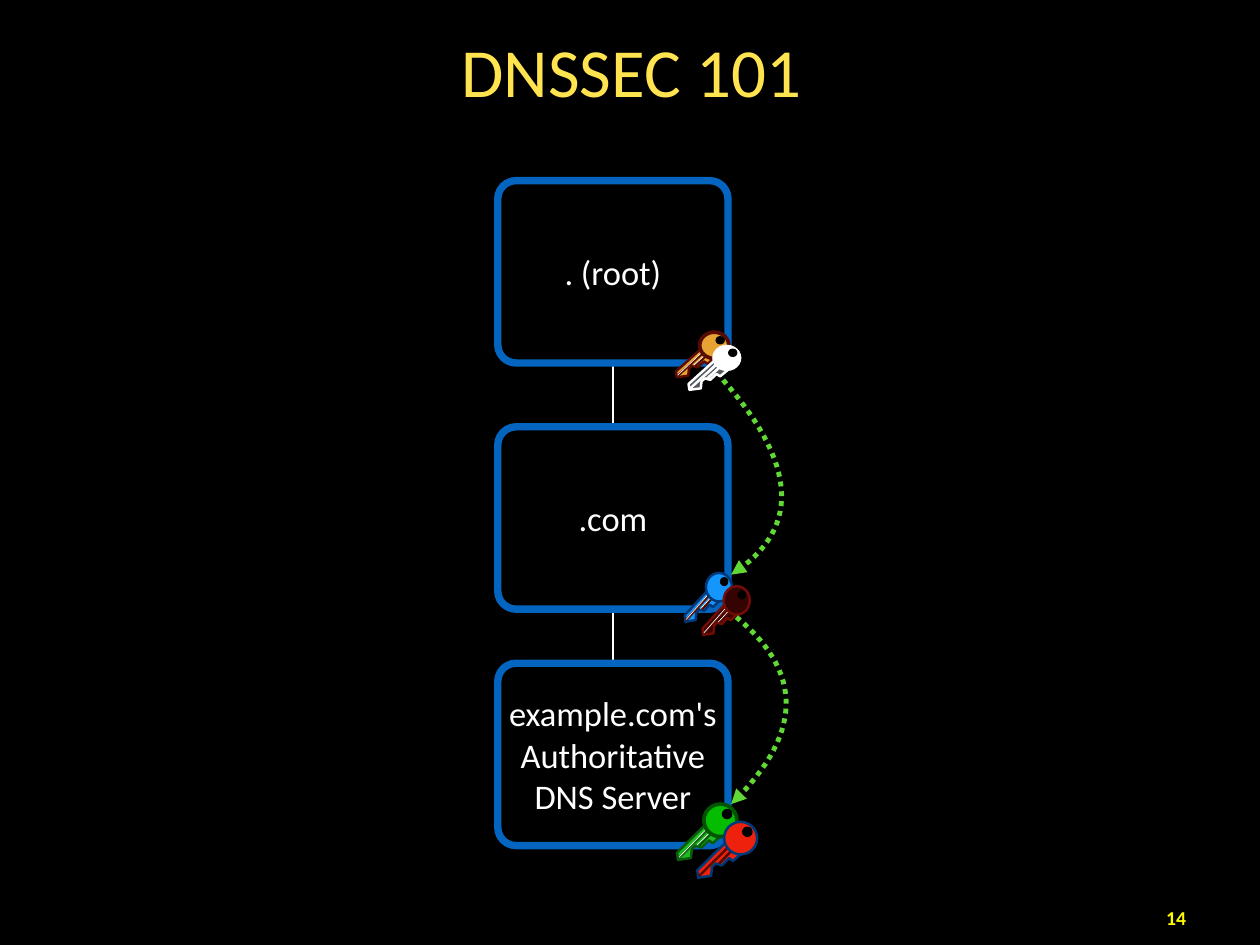
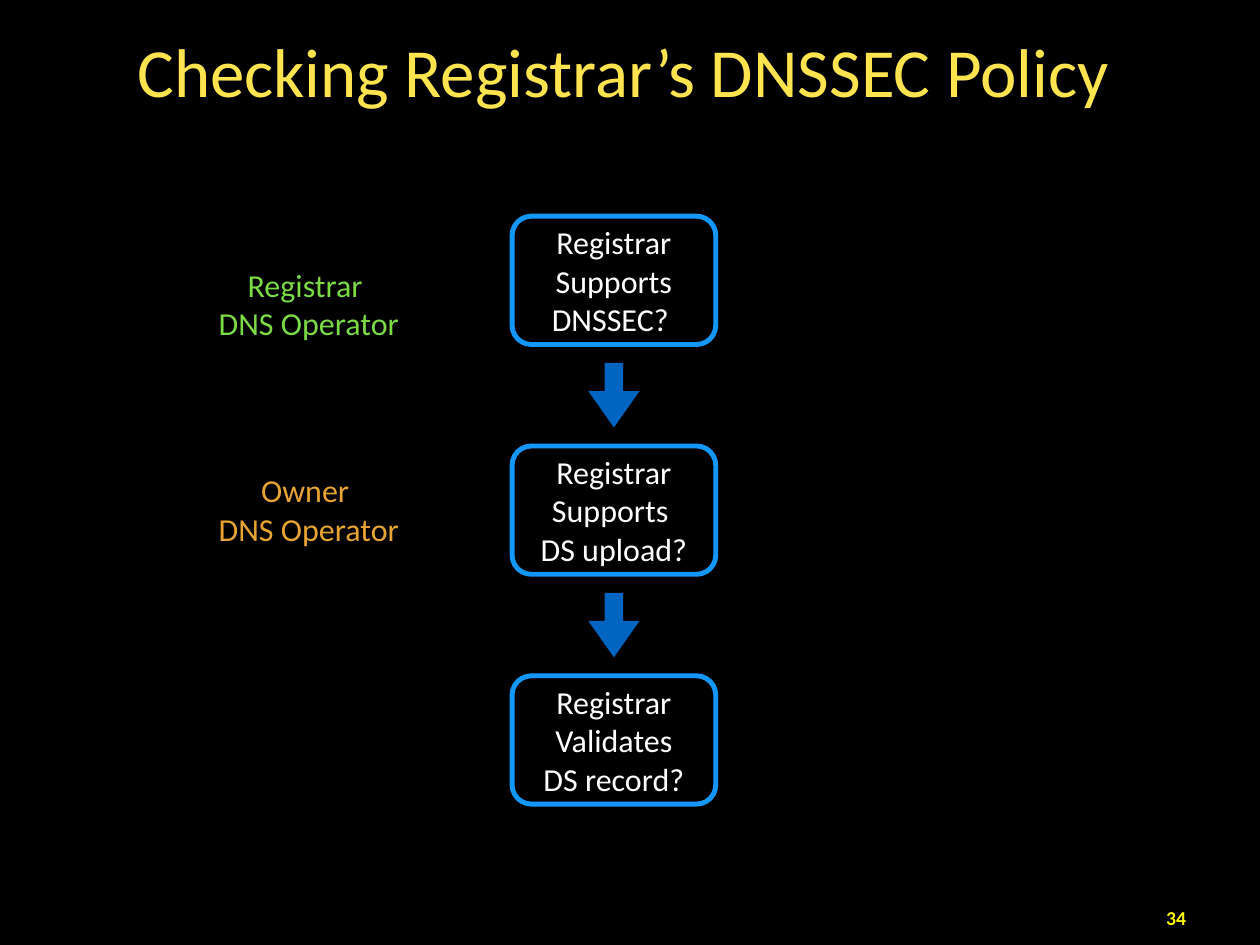
from pptx import Presentation
from pptx.dml.color import RGBColor
from pptx.enum.dml import MSO_LINE
from pptx.enum.shapes import MSO_CONNECTOR, MSO_SHAPE
from pptx.enum.text import MSO_ANCHOR, PP_ALIGN
from pptx.oxml.ns import qn
from pptx.util import Cm, Pt
from lxml import etree

STRAIGHT = MSO_CONNECTOR.STRAIGHT
ROUNDED, OVAL, DOWN = MSO_SHAPE.ROUNDED_RECTANGLE, MSO_SHAPE.OVAL, MSO_SHAPE.DOWN_ARROW
MIDDLE, TOP = MSO_ANCHOR.MIDDLE, MSO_ANCHOR.TOP
DOTTED = MSO_LINE.ROUND_DOT

FONT = "Calibri"
BLACK, WHITE, YELLOW, PAGE_YELLOW = "000000", "FFFFFF", "FFE44F", "FFFB00"
BLUE, SKY, ARROW_BLUE = "0365C0", "1497FC", "0065C1"
GREEN, LIME, ORANGE = "61D836", "7BDB45", "E8A433"


def style(sp, fill=None, line=None, width=1):
    """Set fill and line, where None means none, and drop the shadow."""
    if line:
        sp.line.color.rgb = RGBColor.from_string(line)
        sp.line.width = Pt(width)
    else:
        sp.line.fill.background()
    if not hasattr(sp, "fill"):  # connector
        etree.SubElement(sp._element.spPr, qn("a:effectLst"))
        return
    if fill:
        sp.fill.solid()
        sp.fill.fore_color.rgb = RGBColor.from_string(fill)
    else:
        sp.fill.background()
    sp.shadow.inherit = False


def write(sp, *lines, size=28, color=WHITE, bold=False, anchor=MIDDLE, wrap=True, inset=0.15):
    tf = sp.text_frame
    tf.word_wrap = wrap
    tf.vertical_anchor = anchor
    tf.margin_left = tf.margin_right = tf.margin_top = tf.margin_bottom = Cm(inset)
    for i, line in enumerate(lines):
        p = tf.add_paragraph() if i else tf.paragraphs[0]
        p.alignment = PP_ALIGN.CENTER
        r = p.add_run()
        r.text = line
        r.font.name = FONT
        r.font.size = Pt(size)
        r.font.bold = bold
        r.font.color.rgb = RGBColor.from_string(color)


prs = Presentation()
prs.slide_width, prs.slide_height = Cm(36.12), Cm(27.1)
background = prs.slide_master.background.fill
background.solid()
background.fore_color.rgb = RGBColor.from_string(BLACK)

slides = []
for title, number in (("DNSSEC 101", "14"), ("Checking Registrar’s DNSSEC Policy ", "34")):
    s = prs.slides.add_slide(prs.slide_layouts[6])
    sp = s.shapes.add_textbox(Cm(2.24), Cm(-0.71), Cm(31.72), Cm(5.44))
    write(sp, title, size=56, color=YELLOW, inset=0)
    sp = s.shapes.add_textbox(Cm(33.22), Cm(25.83), Cm(0.99), Cm(0.97))
    write(sp, number, size=16, color=PAGE_YELLOW, bold=True, anchor=TOP, wrap=False)
    slides.append(s)
chain, policy = slides

# Chain of zones
zone_left, zone_width, zone_height = 14.27, 6.6, 5.23
zones = [
    (5.18, [". (root)"]),
    (12.24, [".com"]),
    (19.02, ["example.com's", "Authoritative", "DNS Server"]),
]
middle = Cm(zone_left + zone_width / 2)
for (upper, _), (lower, _) in zip(zones, zones[1:]):
    sp = chain.shapes.add_connector(STRAIGHT, middle, Cm(upper + zone_height), middle, Cm(lower))
    style(sp, line=WHITE, width=2)
for top, lines in zones:
    sp = chain.shapes.add_shape(ROUNDED, Cm(zone_left), Cm(top), Cm(zone_width), Cm(zone_height))
    sp.adjustments[0] = 0.1
    style(sp, BLACK, BLUE, 6)
    write(sp, *lines)

# Keys, in fractions of the blade's width and height
BLADE = [(0.66, 0), (0, 0.8), (0.02, 1), (0.31, 0.95), (0.33, 0.71),
         (0.41, 0.61), (0.55, 0.66), (0.71, 0.46), (0.8, 0.54), (1, 0.32)]
GROOVES = [(0.04, 0.95, 0.7, 0.15), (0.49, 0.61, 0.78, 0.24)]
SHINES = [(0.04, 0.93, 0.68, 0.12), (0.45, 0.59, 0.74, 0.24)]
HEAD, HOLE = (0.6, -0.54, 0.74, 0.9), (1, -0.41, 0.24, 0.29)

SMALL, MEDIUM, LARGE = (1.13, 0.84), (1.01, 0.91), (1.28, 1.04)
# left, top, size, blade, blade line, head, head line, head line width, grooves, shine
keys = [
    (19.41, 23.62, LARGE, "1EBB20", "0A5C0A", "06BC00", "015400", 3, ("126514", "075308"), True),
    (19.99, 24.13, LARGE, "EE220C", "00397A", "EE220C", "00397A", 2, ("5C0C01", "510901"), False),
    (19.63, 16.92, MEDIUM, SKY, "00397A", SKY, "00397A", 2, ("5C0C01", "510901"), True),
    (20.14, 17.3, MEDIUM, "340302", "720C04", "340302", "720C04", 2, ("5C0C01", "510901"), True),
    (19.38, 9.98, SMALL, ORANGE, "5C0C01", ORANGE, "580B01", 3, ("5C0C01", "510901"), True),
    (19.74, 10.34, SMALL, "53585F", WHITE, WHITE, None, 0, (WHITE, WHITE), True),
]
for left, top, (w, h), blade, edge, head, rim, rim_width, grooves, shine in keys:
    key = chain.shapes.add_group_shape().shapes
    outline = [(Cm(left + x * w), Cm(top + y * h)) for x, y in BLADE]
    builder = key.build_freeform(*outline[0])
    builder.add_line_segments(outline[1:], close=False)
    style(builder.convert_to_shape(), blade, edge, 2)

    strokes = [(ends, color, 2) for ends, color in zip(GROOVES, grooves)]
    if shine:
        strokes += [(ends, WHITE, 0.5) for ends in SHINES]
    for (x1, y1, x2, y2), color, width in strokes:
        sp = key.add_connector(STRAIGHT, Cm(left + x1 * w), Cm(top + y1 * h),
                               Cm(left + x2 * w), Cm(top + y2 * h))
        style(sp, line=color, width=width)

    for (x, y, dx, dy), fill, line in ((HEAD, head, rim), (HOLE, BLACK, None)):
        sp = key.add_shape(OVAL, Cm(left + x * w), Cm(top + y * h), Cm(dx * w), Cm(dy * h))
        style(sp, fill, line, rim_width)

# Trust arrows: Bézier curves from one key pair to the next
curves = [
    [(21.11, 17.7), (23.06, 19.3), (23.01, 21.08), (20.96, 23.06)],
    [(20.73, 10.9), (22.89, 13.34), (22.96, 15.21), (20.96, 16.48)],
]
STEPS = 30
for curve in curves:
    points = []
    for i in range(STEPS + 1):
        t = i / STEPS
        weights = ((1 - t) ** 3, 3 * t * (1 - t) ** 2, 3 * t * t * (1 - t), t ** 3)
        points.append([Cm(sum(k * c for k, c in zip(weights, axis))) for axis in zip(*curve)])
    builder = chain.shapes.build_freeform(*points[0])
    builder.add_line_segments(points[1:], close=False)
    sp = builder.convert_to_shape()
    style(sp, line=GREEN, width=4)
    sp.line.dash_style = DOTTED
    etree.SubElement(sp.line._get_or_add_ln(), qn("a:tailEnd"), type="triangle")

# Policy checks
for top, party, color in ((7.52, "Registrar ", LIME), (13.41, "Owner ", ORANGE)):
    sp = policy.shapes.add_textbox(Cm(5.87), Cm(top), Cm(5.97), Cm(2.39))
    write(sp, party, "DNS Operator", size=26, color=color, wrap=False)

check_left, check_top, check_width, check_height, pitch = 14.68, 6.2, 5.84, 3.68, 6.59
arrow_width, arrow_height = 1.47, 1.85
checks = [
    ["Registrar Supports DNSSEC? "],
    ["Registrar Supports ", "DS upload?"],
    ["Registrar", "Validates", "DS record?"],
]
for i, lines in enumerate(checks):
    top = check_top + i * pitch
    sp = policy.shapes.add_shape(ROUNDED, Cm(check_left), Cm(top), Cm(check_width), Cm(check_height))
    sp.adjustments[0] = 0.15
    style(sp, line=SKY, width=4)
    write(sp, *lines, size=26)
    if i:
        gap_middle = top - (pitch - check_height) / 2
        sp = policy.shapes.add_shape(
            DOWN, Cm(check_left + (check_width - arrow_width) / 2),
            Cm(gap_middle - arrow_height / 2), Cm(arrow_width), Cm(arrow_height))
        sp.adjustments[0], sp.adjustments[1] = 0.36, 0.71
        style(sp, ARROW_BLUE)

prs.save("out.pptx")
